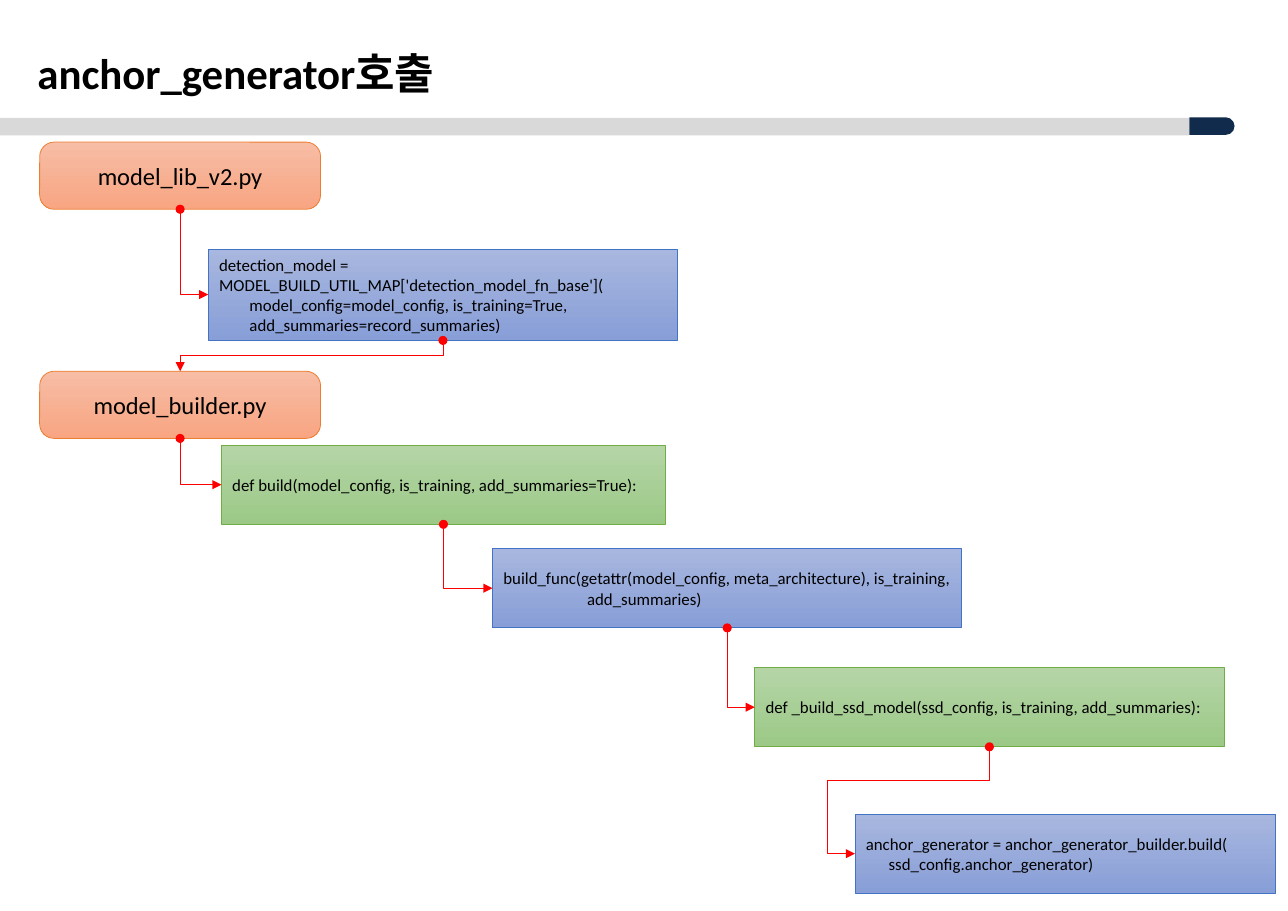
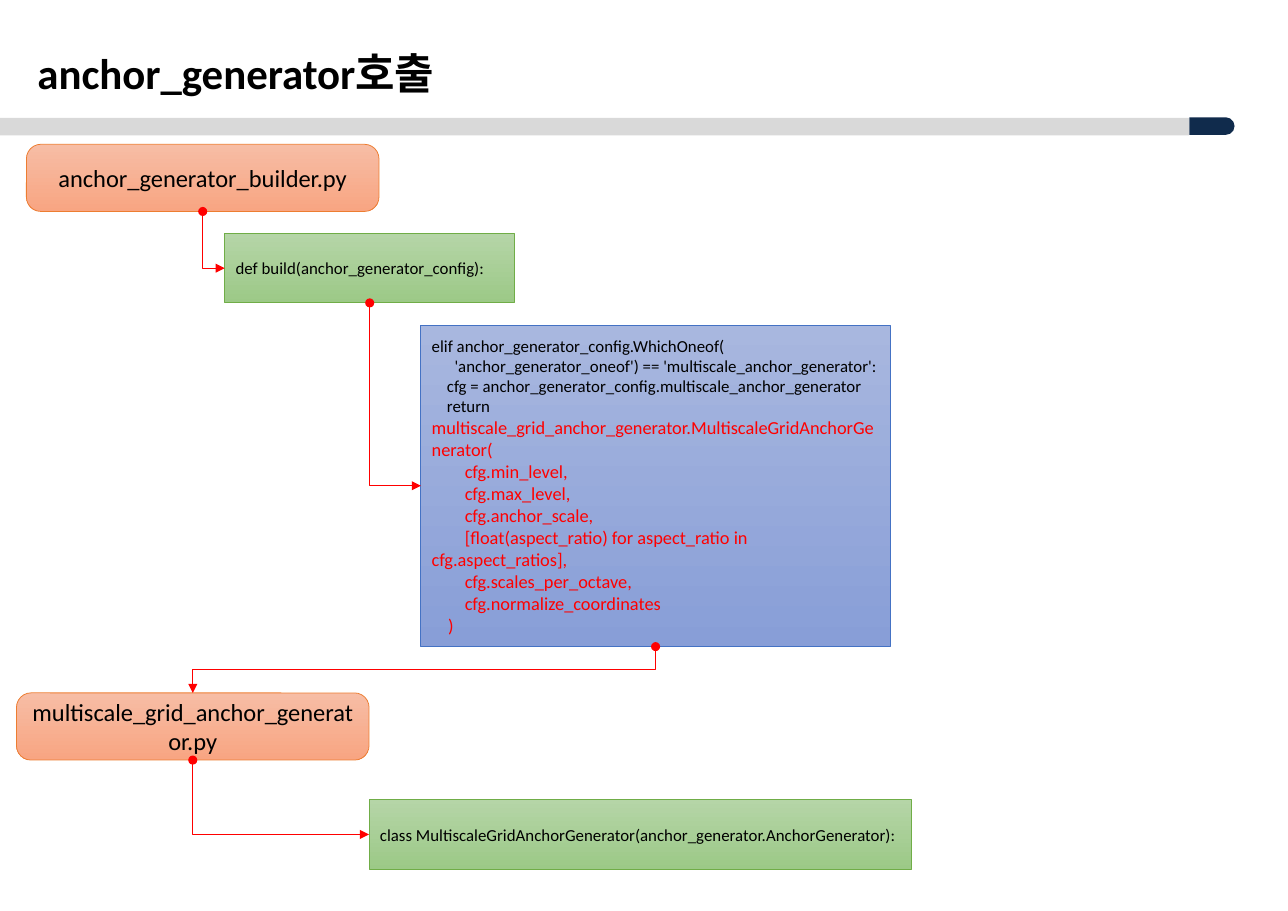
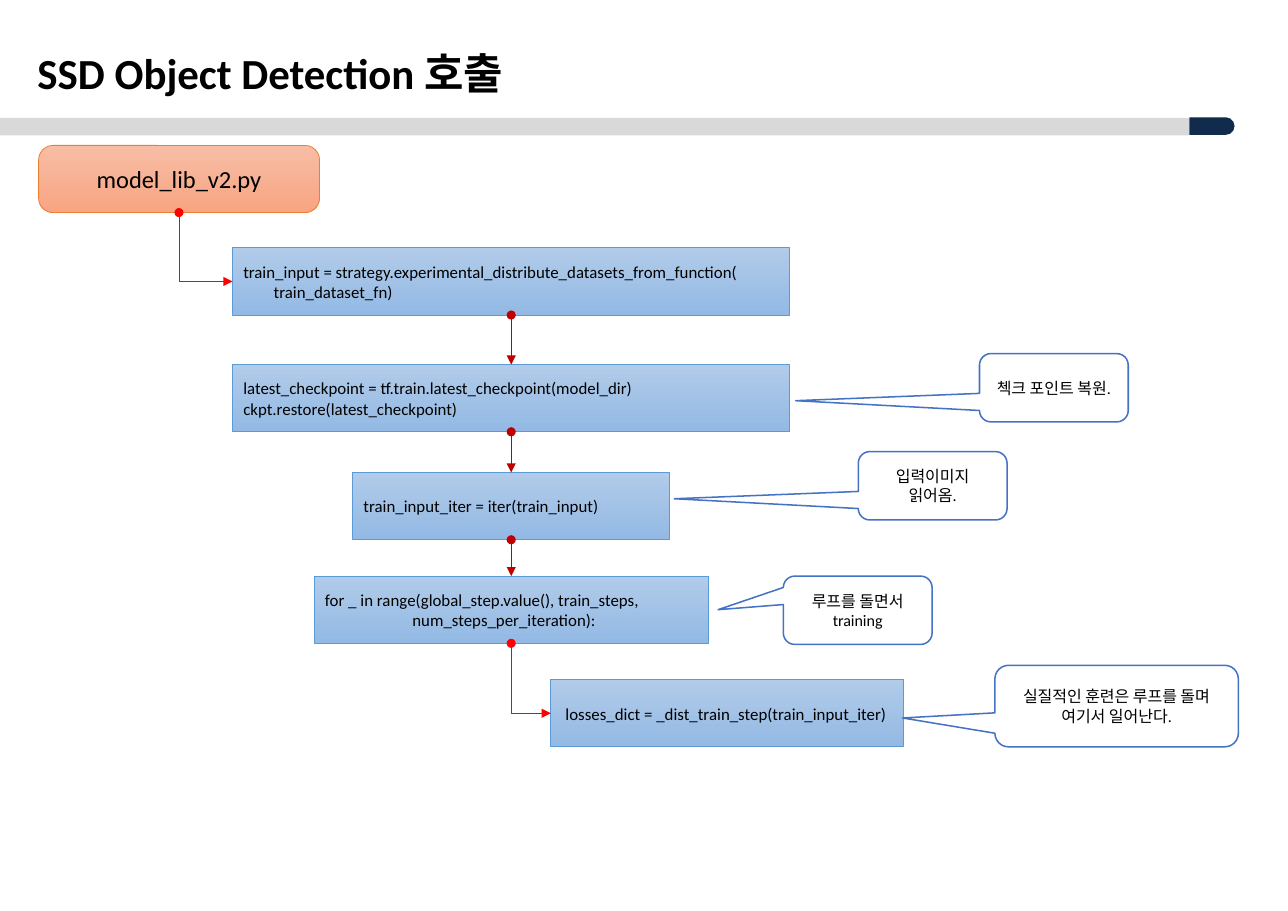
"""Build three slides that trace the call flow of an object detection model."""
from lxml import etree
from pptx import Presentation
from pptx.dml.color import RGBColor
from pptx.enum.shapes import MSO_CONNECTOR, MSO_SHAPE
from pptx.enum.text import MSO_ANCHOR, MSO_AUTO_SIZE, PP_ALIGN
from pptx.oxml.ns import qn
from pptx.util import Inches, Pt

RECT = MSO_SHAPE.RECTANGLE
ROUND = MSO_SHAPE.ROUNDED_RECTANGLE
CAP = MSO_SHAPE.ROUND_2_SAME_RECTANGLE
BUBBLE = MSO_SHAPE.ROUNDED_RECTANGULAR_CALLOUT
ELBOW = MSO_CONNECTOR.ELBOW
STRAIGHT = MSO_CONNECTOR.STRAIGHT
LEFT = PP_ALIGN.LEFT
CENTER = PP_ALIGN.CENTER
MIDDLE = MSO_ANCHOR.MIDDLE
FIXED = MSO_AUTO_SIZE.NONE

FONT = "Calibri"
BLACK = RGBColor(0x00, 0x00, 0x00)
WHITE = RGBColor(0xFF, 0xFF, 0xFF)
RED = RGBColor(0xFF, 0x00, 0x00)
CRIMSON = RGBColor(0xC0, 0x00, 0x00)
NAVY = RGBColor(0x10, 0x2B, 0x4C)
GRAY = RGBColor(0xD9, 0xD9, 0xD9)
BLUE = RGBColor(0x44, 0x72, 0xC4)

ORANGE = RGBColor(0xED, 0x7D, 0x31)
PEACH = RGBColor(0xF7, 0xBD, 0xA5)
CORAL = RGBColor(0xF8, 0xA5, 0x82)
LILAC = RGBColor(0xA8, 0xB7, 0xDF)
IRIS = RGBColor(0x88, 0x9E, 0xD7)
GREEN = RGBColor(0x70, 0xAD, 0x47)
MINT = RGBColor(0xB5, 0xD5, 0xA7)
LEAF = RGBColor(0x9C, 0xC9, 0x87)
AZURE = RGBColor(0x5B, 0x9B, 0xD5)
ICE = RGBColor(0xB1, 0xCB, 0xE9)
SKY = RGBColor(0x93, 0xB9, 0xE4)

# Each style: shape, fill colours, line colour, line width, text size, alignment
STYLES = {
    "file": (ROUND, (PEACH, CORAL), ORANGE, 0.5, 16, CENTER),
    "call": (RECT, (LILAC, IRIS), BLUE, 0.5, 11, LEFT),
    "def": (RECT, (MINT, LEAF), GREEN, 0.5, 11, LEFT),
    "step": (RECT, (ICE, SKY), AZURE, 0.5, 11, LEFT),
    "note": (BUBBLE, (WHITE,), BLUE, 1, 10.5, CENTER),
}


def box(slide, style, left, top, width, height, *lines):
    kind, fills, edge, weight, size, align = STYLES[style]
    shape = slide.shapes.add_shape(
        kind, Inches(left), Inches(top), Inches(width), Inches(height))
    shape.shadow.inherit = False
    if kind == ROUND:
        shape.adjustments[0] = 0.216
    if len(fills) == 2:
        shape.fill.gradient()
        shape.fill.gradient_angle = 270
        for stop, color in zip(shape.fill.gradient_stops, fills):
            stop.color.rgb = color
    else:
        shape.fill.solid()
        shape.fill.fore_color.rgb = fills[0]
    shape.line.color.rgb = edge
    shape.line.width = Pt(weight)
    frame = shape.text_frame
    for i, line in enumerate(lines):
        para = frame.add_paragraph() if i else frame.paragraphs[0]
        para.alignment = align
        run = para.add_run()
        run.text = line
        run.font.name = FONT
        run.font.size = Pt(size)
        run.font.color.rgb = BLACK
    return shape


def link(slide, start, end, preset="bentConnector2", bends=(), color=RED):
    side = 1 if preset in ("bentConnector2", "bentConnector4") else 0
    x1, y1 = start.left + start.width // 2, start.top + start.height
    x2 = end.left if side else end.left + end.width // 2
    y2 = end.top + end.height // 2 if side else end.top
    kind = STRAIGHT if preset == "line" else ELBOW
    wire = slide.shapes.add_connector(kind, x1, y1, x2, y2)
    wire.begin_connect(start, 2)
    wire.end_connect(end, side)
    props = wire.element.spPr
    if kind == ELBOW:
        span, drop = abs(x2 - x1), y2 - y1
        wire.left = (x1 + x2 - drop) // 2
        wire.top = (y1 + y2 - span) // 2
        wire.width, wire.height = drop, span
        frame = props.find(qn("a:xfrm"))
        right = x2 > x1
        frame.set("rot", str((270 if right else 90) * 60000))
        frame.set("flipH", "1" if right else "0")
        frame.set("flipV", "0")
        geom = props.find(qn("a:prstGeom"))
        geom.set("prst", preset)
        guides = geom.find(qn("a:avLst"))
        for i, bend in enumerate(bends, 1):
            etree.SubElement(guides, qn("a:gd"), name=f"adj{i}", fmla=f"val {bend}")
    wire.line.color.rgb = color
    wire.line.width = Pt(0.5)
    edge = props.find(qn("a:ln"))
    etree.SubElement(edge, qn("a:headEnd"), type="oval")
    etree.SubElement(edge, qn("a:tailEnd"), type="triangle")
    etree.SubElement(props, qn("a:effectLst"))


deck = Presentation()
deck.slide_width = Inches(11.69)
deck.slide_height = Inches(8.27)
layout = deck.slide_layouts[5]
head = layout.placeholders[0]
head.left, head.top = Inches(0.24), Inches(0.37)
head.width, head.height = Inches(10.8), Inches(0.57)

slides = []
for text in ("anchor_generator호출", "anchor_generator호출", "SSD Object Detection 호출"):
    slide = deck.slides.add_slide(layout)
    frame = slide.shapes.title.text_frame
    frame.auto_size = FIXED
    frame.vertical_anchor = MIDDLE
    para = frame.paragraphs[0]
    para.alignment = LEFT
    run = para.add_run()
    run.text = text
    run.font.name = FONT
    run.font.size = Pt(28)
    run.font.bold = True
    run.font.color.rgb = BLACK
    slides.append(slide)
first, second, third = slides

for kind, left, top, width, height, turn, color in (
    (CAP, 10.92, 0.94, 0.16, 0.41, 90, NAVY),
    (RECT, 0, 1.07, 10.79, 0.16, 0, GRAY),
):
    band = first.shapes.add_shape(
        kind, Inches(left), Inches(top), Inches(width), Inches(height))
    band.rotation = turn
    if kind == CAP:
        band.adjustments[0] = 0.5
    band.shadow.inherit = False
    band.fill.solid()
    band.fill.fore_color.rgb = color
    band.line.fill.background()
    layout.element.cSld.spTree.append(band.element)

lib = box(first, "file", 0.36, 1.29, 2.55, 0.61, "model_lib_v2.py")
model = box(
    first, "call", 1.89, 2.26, 4.26, 0.83,
    "detection_model = MODEL_BUILD_UTIL_MAP['detection_model_fn_base'](",
    "        model_config=model_config, is_training=True,",
    "        add_summaries=record_summaries)")
maker = box(first, "file", 0.36, 3.37, 2.55, 0.61, "model_builder.py")
build = box(
    first, "def", 2.01, 4.04, 4.03, 0.72,
    "def build(model_config, is_training, add_summaries=True):")
func = box(
    first, "call", 4.47, 4.98, 4.26, 0.72,
    "build_func(getattr(model_config, meta_architecture), is_training,",
    "                      add_summaries)")
ssd = box(
    first, "def", 6.85, 6.06, 4.26, 0.72,
    "def _build_ssd_model(ssd_config, is_training, add_summaries):")
anchor = box(
    first, "call", 7.76, 7.39, 3.82, 0.72,
    "anchor_generator = anchor_generator_builder.build(",
    "      ssd_config.anchor_generator)")
for start, end in ((lib, model), (maker, build), (build, func), (func, ssd)):
    link(first, start, end)
link(first, model, maker, "bentConnector3", (50000,))
link(first, ssd, anchor, "bentConnector4", (31600, 120500))

maker = box(second, "file", 0.24, 1.31, 3.2, 0.61, "anchor_generator_builder.py")
build = box(
    second, "def", 2.04, 2.12, 2.63, 0.63, "def build(anchor_generator_config):")
branch = box(
    second, "call", 3.82, 2.95, 4.26, 2.92,
    "elif anchor_generator_config.WhichOneof(",
    "      'anchor_generator_oneof') == 'multiscale_anchor_generator':",
    "    cfg = anchor_generator_config.multiscale_anchor_generator",
    "    return ",
    "        cfg.min_level,",
    "        cfg.max_level,",
    "        cfg.anchor_scale,",
    "        [float(aspect_ratio) for aspect_ratio in cfg.aspect_ratios],",
    "        cfg.scales_per_octave,",
    "        cfg.normalize_coordinates",
    "    )")
paras = branch.text_frame.paragraphs[3:]
run = paras[0].add_run()
run.text = "multiscale_grid_anchor_generator.MultiscaleGridAnchorGenerator("
for para in paras:
    font = para.runs[-1].font
    font.name = FONT
    font.size = Pt(12)
    font.color.rgb = RED
grid = box(
    second, "file", 0.15, 6.29, 3.2, 0.61, "multiscale_grid_anchor_generator.py")
multi = box(
    second, "def", 3.35, 7.26, 4.92, 0.63,
    "class MultiscaleGridAnchorGenerator(anchor_generator.AnchorGenerator):")
for start, end in ((maker, build), (build, branch), (grid, multi)):
    link(second, start, end)
link(second, branch, grid, "bentConnector3", (50000,))

lib = box(third, "file", 0.35, 1.32, 2.55, 0.61, "model_lib_v2.py")
spine = []
for top, width, lines in (
    (2.25, 5.06, (
        "train_input = strategy.experimental_distribute_datasets_from_function(",
        "        train_dataset_fn)")),
    (3.31, 5.06, (
        "latest_checkpoint = tf.train.latest_checkpoint(model_dir)",
        "ckpt.restore(latest_checkpoint)")),
    (4.29, 2.88, ("train_input_iter = iter(train_input)",)),
    (5.23, 3.58, (
        "for _ in range(global_step.value(), train_steps,",
        "                       num_steps_per_iteration):")),
):
    spine.append(box(third, "step", 4.64 - width / 2, top, width, 0.61, *lines))
loss = box(
    third, "step", 5, 6.17, 3.2, 0.61,
    " losses_dict = _dist_train_step(train_input_iter)")
link(third, lib, spine[0])
for start, end in zip(spine, spine[1:]):
    link(third, start, end, "line", color=CRIMSON)
link(third, spine[-1], loss)

for left, top, width, height, across, down, lines in (
    (8.89, 3.21, 1.35, 0.62, -1.736, 0.19, ("첵크 포인트 복원.",)),
    (7.79, 4.1, 1.35, 0.62, -1.736, 0.19, ("입력이미지 읽어옴.",)),
    (7.11, 5.23, 1.35, 0.62, -0.939, -0.008, ("루프를 돌면서 training",)),
    (9.03, 6.04, 2.21, 0.74, -0.879, 0.146, (
        "실질적인 훈련은 루프를 돌며", "여기서 일어난다.")),
):
    note = box(third, "note", left, top, width, height, *lines)
    note.adjustments[0] = across
    note.adjustments[1] = down

deck.save("out.pptx")
